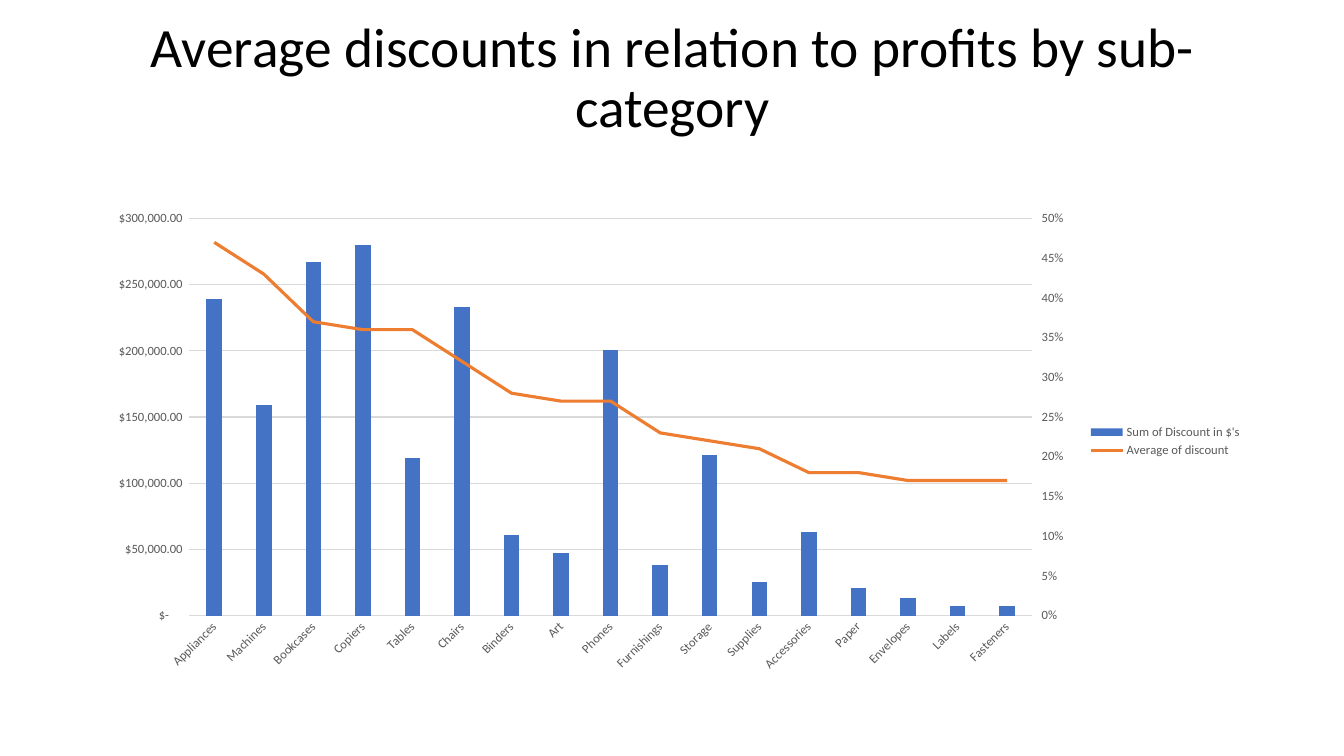
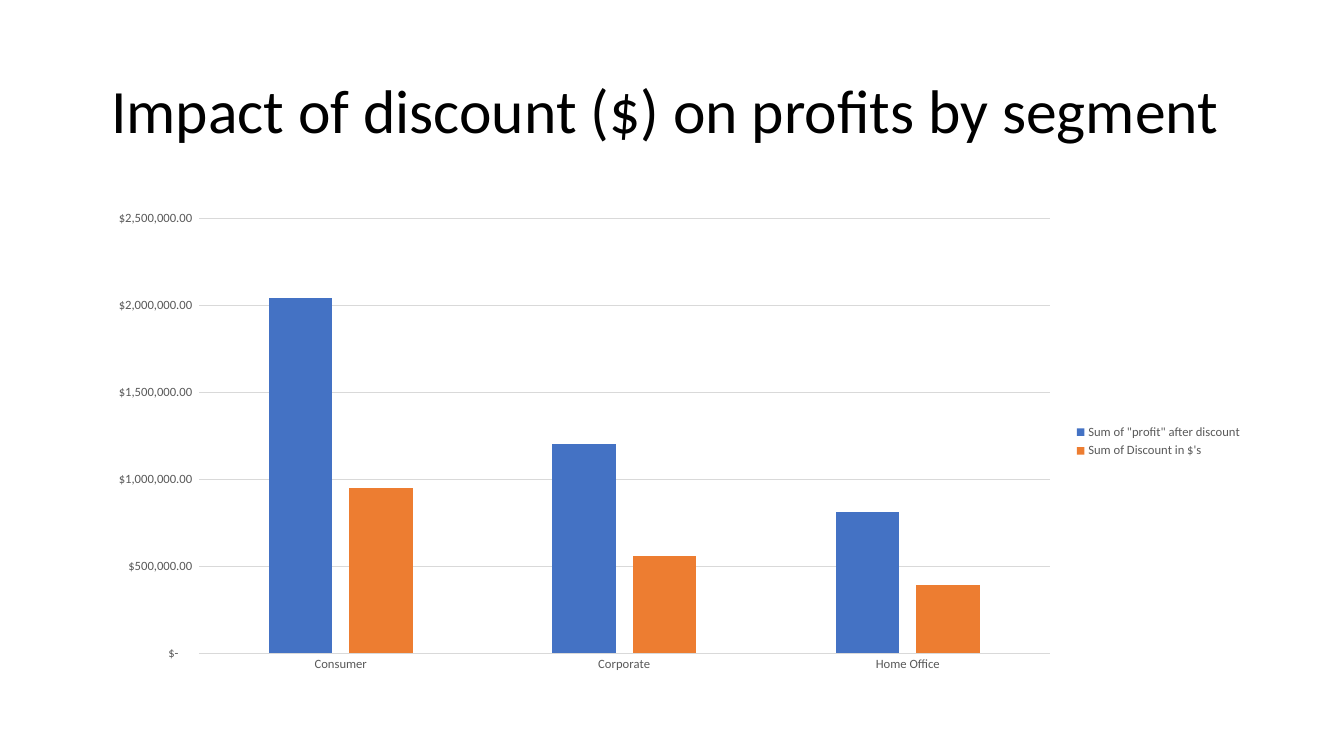
import copy

import pptx
import pptx.chart.data
import pptx.dml.color
import pptx.enum.chart
import pptx.enum.text
import pptx.oxml
import pptx.oxml.ns
import pptx.util

RGB = pptx.dml.color.RGBColor
BLACK = RGB(0x00, 0x00, 0x00)
GRAY = RGB(0x59, 0x59, 0x59)
RULE = RGB(0xD9, 0xD9, 0xD9)
BLUE = RGB(0x44, 0x72, 0xC4)
ORANGE = RGB(0xED, 0x7D, 0x31)
FONT = "Calibri"
MONEY = r'_("$"* #,##0.00_);_("$"* \(#,##0.00\);_("$"* "-"??_);_(@_)'

Pt = pptx.util.Pt
WIDE, HIGH = pptx.util.Inches(13.33), pptx.util.Inches(7.5)
LEFT, SPAN = pptx.util.Inches(0.92), pptx.util.Inches(11.5)
TALL = pptx.util.Inches(1.45)

SLIDES = [
    {
        "title": "Average discounts in relation to profits by sub-category",
        "size": 39.6,
        "top": 0.06,
        "cats": ["Appliances", "Machines", "Bookcases", "Copiers", "Tables",
                 "Chairs", "Binders", "Art", "Phones", "Furnishings", "Storage",
                 "Supplies", "Accessories", "Paper", "Envelopes", "Labels",
                 "Fasteners"],
        "series": {
            "Sum of Discount in $'s": [
                239000, 159000, 267000, 280000, 119000, 233000, 61000, 47000,
                201000, 38000, 121000, 25000, 63000, 21000, 13000, 7000, 7000],
            "Average of discount": [
                0.47, 0.43, 0.37, 0.36, 0.36, 0.32, 0.28, 0.27, 0.27, 0.23,
                0.22, 0.21, 0.18, 0.18, 0.17, 0.17, 0.17],
        },
        "max": 300000,
        "step": 50000,
        "combo": True,
    },
    {
        "title": "Impact of discount ($) on profits by segment ",
        "size": 44,
        "top": 0.4,
        "cats": ["Consumer", "Corporate", "Home Office"],
        "series": {
            'Sum of "profit" after discount': [2040000, 1200000, 810000],
            "Sum of Discount in $'s": [950000, 560000, 390000],
        },
        "max": 2500000,
        "step": 500000,
        "combo": False,
    },
]

SPACE = pptx.oxml.ns.nsdecls("c", "a")
LINE = f"""<c:lineChart {SPACE}><c:grouping val="standard"/>
<c:varyColors val="0"/><c:marker val="1"/><c:axId val="501"/>
<c:axId val="502"/></c:lineChart>"""
CAT = f"""<c:catAx {SPACE}><c:axId val="501"/>
<c:scaling><c:orientation val="minMax"/></c:scaling><c:delete val="1"/>
<c:axPos val="b"/><c:majorTickMark val="none"/><c:minorTickMark val="none"/>
<c:tickLblPos val="nextTo"/><c:crossAx val="502"/><c:crosses val="autoZero"/>
</c:catAx>"""
RIGHT = f"""<c:valAx {SPACE}><c:axId val="502"/>
<c:scaling><c:orientation val="minMax"/><c:max val="0.5"/><c:min val="0"/></c:scaling>
<c:delete val="0"/><c:axPos val="r"/><c:numFmt formatCode="0%" sourceLinked="0"/>
<c:majorTickMark val="out"/><c:minorTickMark val="none"/>
<c:tickLblPos val="nextTo"/><c:spPr><a:ln><a:noFill/></a:ln></c:spPr>
<c:crossAx val="501"/><c:crosses val="max"/><c:crossBetween val="between"/>
<c:majorUnit val="0.05"/></c:valAx>"""


def style(font, size, color):
    font.name, font.size, font.color.rgb = FONT, Pt(size), color


def combine(chart):
    """Turn the second column series into a line on a percent axis at the right."""
    bar = chart.element.xpath(".//c:barChart")[0]
    left = chart.element.xpath(".//c:valAx")[0]
    item = bar.xpath("c:ser")[1]
    for flag in item.xpath("c:invertIfNegative"):
        item.remove(flag)
    line, cat, right = map(pptx.oxml.parse_xml, (LINE, CAT, RIGHT))
    line.insert(2, item)
    bar.addnext(line)
    text = copy.deepcopy(left.xpath("c:txPr")[0])
    right.xpath("c:crossAx")[0].addprevious(text)
    left.addnext(right)
    right.addnext(cat)
    trend = chart.plots[1].series[0]
    trend.smooth = False
    trend.marker.style = pptx.enum.chart.XL_MARKER_STYLE.NONE
    trend.format.line.color.rgb = ORANGE
    trend.format.line.width = Pt(2.25)
    slant = chart.element.xpath(".//c:catAx/c:txPr/a:bodyPr")[0]
    slant.set("rot", "-2700000")


deck = pptx.Presentation()
deck.slide_width, deck.slide_height = WIDE, HIGH

for page in SLIDES:
    slide = deck.slides.add_slide(deck.slide_layouts[6])

    top = pptx.util.Inches(page["top"])
    frame = slide.shapes.add_textbox(LEFT, top, SPAN, TALL).text_frame
    frame.word_wrap = True
    frame.vertical_anchor = pptx.enum.text.MSO_ANCHOR.MIDDLE
    title = frame.paragraphs[0]
    title.text = page["title"]
    title.alignment = pptx.enum.text.PP_ALIGN.CENTER
    title.line_spacing = 0.9
    style(title.font, page["size"], BLACK)

    data = pptx.chart.data.CategoryChartData()
    data.categories = page["cats"]
    for name, vals in page["series"].items():
        data.add_series(name, vals)
    chart = slide.shapes.add_chart(
        pptx.enum.chart.XL_CHART_TYPE.COLUMN_CLUSTERED, LEFT,
        pptx.util.Inches(2), SPAN, pptx.util.Inches(4.76), data).chart
    style(chart.font, 10, BLACK)
    chart.has_title = False
    chart.has_legend = True
    chart.legend.position = pptx.enum.chart.XL_LEGEND_POSITION.RIGHT
    chart.legend.include_in_layout = False
    style(chart.legend.font, 9, GRAY)

    plot = chart.plots[0]
    plot.vary_by_categories = False
    plot.gap_width, plot.overlap = 219, -27
    for item, color in zip(plot.series, (BLUE, ORANGE)):
        item.format.fill.solid()
        item.format.fill.fore_color.rgb = color

    base, scale = chart.category_axis, chart.value_axis
    for axis in (base, scale):
        axis.major_tick_mark = pptx.enum.chart.XL_TICK_MARK.NONE
        axis.minor_tick_mark = pptx.enum.chart.XL_TICK_MARK.NONE
        style(axis.tick_labels.font, 9, GRAY)
    scale.minimum_scale, scale.maximum_scale = 0, page["max"]
    scale.major_unit = page["step"]
    scale.tick_labels.number_format = MONEY
    scale.tick_labels.number_format_is_linked = False
    scale.format.line.fill.background()
    for rule in (base.format.line, scale.major_gridlines.format.line):
        rule.color.rgb, rule.width = RULE, Pt(0.75)

    if page["combo"]:
        combine(chart)

deck.save("out.pptx")
